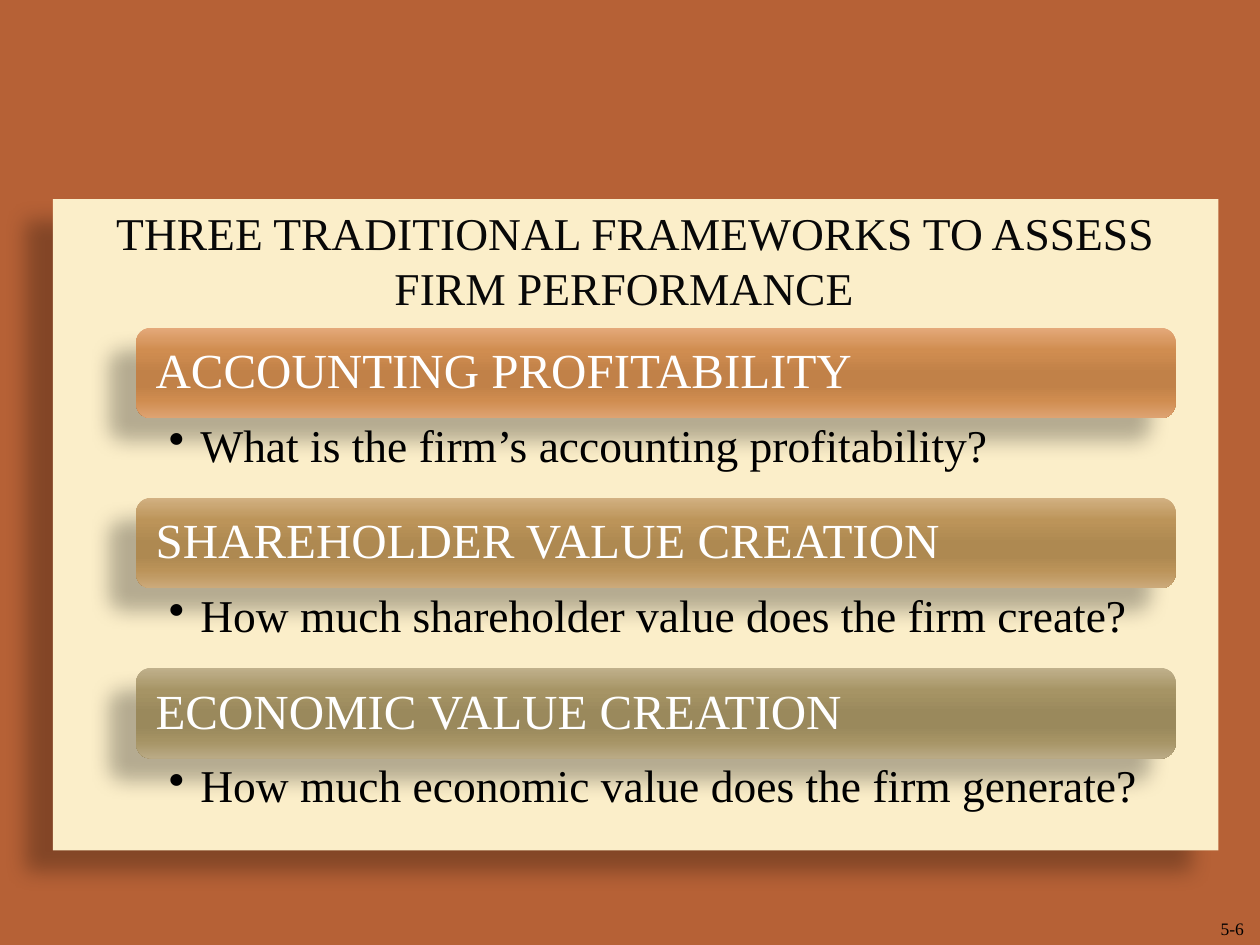
from lxml import etree
from pptx import Presentation
from pptx.dml.color import RGBColor
from pptx.enum import shapes, text
from pptx.oxml import parse_xml
from pptx.oxml.ns import nsdecls, qn
from pptx.util import Inches, Pt

FONT = "Times New Roman"
BAR_LEFT, BAR_TOP, BAR_WIDTH, BAR_HEIGHT = 1.08, 2.6, 8.25, 0.72
QUESTION_HEIGHT = 0.63
BAR_PITCH = BAR_HEIGHT + QUESTION_HEIGHT
TEXT_INSET = 0.035
STOP_POSITIONS = (0, 25, 50, 65, 80, 100)

FRAMEWORKS = [
    ("ACCOUNTING PROFITABILITY",
     "What is the firm’s accounting profitability?",
     ("E4A97A", "D08D50", "C18148", "C18148", "CF8C4F", "DEA372")),
    ("SHAREHOLDER VALUE CREATION",
     "How much shareholder value does the firm create?",
     ("D2B182", "BC9459", "AE8951", "AE8951", "BB9359", "CCAA7B")),
    ("ECONOMIC VALUE CREATION",
     "How much economic value does the firm generate?",
     ("C0B18C", "A69465", "9A895C", "9A895C", "A59364", "BAAA85")),
]


def color(value):
    return RGBColor.from_string(value)


def set_solid(fill, value):
    fill.solid()
    fill.fore_color.rgb = color(value)


def set_gradient(shape, colors):
    """Fill from top to bottom with one color per stop position."""
    shape.fill.gradient()
    shape.fill.gradient_angle = 270
    stops = shape._element.spPr.find(qn("a:gradFill")).find(qn("a:gsLst"))
    for stop in list(stops):
        stops.remove(stop)
    for position, value in zip(STOP_POSITIONS, colors):
        stop = etree.SubElement(stops, qn("a:gs"), pos=str(position * 1000))
        etree.SubElement(stop, qn("a:srgbClr"), val=value)


def add_shadow(shape):
    """Cast a soft shadow down and to the left."""
    shape.shadow.inherit = False
    effects = shape._element.spPr.find(qn("a:effectLst"))
    effects.append(parse_xml(
        f'<a:outerShdw {nsdecls("a")} blurRad="{Pt(11.8)}" dist="{Pt(19.7)}" '
        f'dir="{141 * 60000}" algn="tl" rotWithShape="0">'
        '<a:srgbClr val="000000"><a:alpha val="28000"/></a:srgbClr>'
        '</a:outerShdw>'))


def add_panel(page, kind, left, top, width, height):
    panel = page.shapes.add_shape(
        kind, Inches(left), Inches(top), Inches(width), Inches(height))
    panel.line.fill.background()
    add_shadow(panel)
    return panel


def add_text_box(page, left, top, width, height):
    return page.shapes.add_textbox(
        Inches(left), Inches(top), Inches(width), Inches(height))


def add_bullet(para):
    props = para._p.get_or_add_pPr()
    props.set("marL", str(Inches(0.25)))
    props.set("indent", str(Inches(-0.25)))
    etree.SubElement(props, qn("a:buChar"), char="•")


def write(box, words, size, value, align=text.PP_ALIGN.LEFT,
          anchor=text.MSO_ANCHOR.TOP, insets=(0.1, 0.05, 0.1, 0.05),
          line_spacing=None, space_before=0, bullet=False):
    """Set the text of a box; insets are left, top, right, bottom in inches."""
    frame = box.text_frame
    frame.word_wrap = True
    frame.vertical_anchor = anchor
    (frame.margin_left, frame.margin_top,
     frame.margin_right, frame.margin_bottom) = map(Inches, insets)
    para = frame.paragraphs[0]
    para.alignment = align
    para.line_spacing = line_spacing
    para.space_before = Pt(space_before)
    if bullet:
        para.level = 1
        add_bullet(para)
    span = para.add_run()
    span.text = words
    span.font.name = FONT
    span.font.size = Pt(size)
    span.font.color.rgb = color(value)


def add_framework(page, top, heading, question, colors):
    bar = add_panel(page, shapes.MSO_SHAPE.ROUNDED_RECTANGLE,
                    BAR_LEFT, top, BAR_WIDTH, BAR_HEIGHT)
    set_gradient(bar, colors)
    heading_box = add_text_box(
        page, BAR_LEFT + TEXT_INSET, top + TEXT_INSET,
        BAR_WIDTH - 2 * TEXT_INSET, BAR_HEIGHT - 2 * TEXT_INSET)
    write(heading_box, heading, 28, "FFFFFF", anchor=text.MSO_ANCHOR.MIDDLE,
          insets=(0.12,) * 4, line_spacing=0.9)
    question_box = add_text_box(
        page, BAR_LEFT, top + BAR_HEIGHT, BAR_WIDTH, QUESTION_HEIGHT)
    write(question_box, question, 26, "000000",
          insets=(0.26, 0.04, 0.2, 0.04), line_spacing=0.9, bullet=True)


def main():
    deck = Presentation()
    deck.slide_width, deck.slide_height = Inches(10), Inches(7.5)
    page = deck.slides.add_slide(deck.slide_layouts[6])
    set_solid(page.background.fill, "B66136")

    number_box = add_text_box(page, 7.33, 7.12, 2.64, 0.38)
    write(number_box, "5-6", 10, "000000", align=text.PP_ALIGN.RIGHT,
          anchor=text.MSO_ANCHOR.BOTTOM)

    card = add_panel(page, shapes.MSO_SHAPE.RECTANGLE, 0.42, 1.58, 9.25, 5.17)
    set_solid(card.fill, "FBEEC9")
    write(card, "THREE TRADITIONAL FRAMEWORKS TO ASSESS FIRM PERFORMANCE  ",
          26, "080808", align=text.PP_ALIGN.CENTER, space_before=5)

    for index, framework in enumerate(FRAMEWORKS):
        add_framework(page, BAR_TOP + index * BAR_PITCH, *framework)

    deck.save("out.pptx")


if __name__ == "__main__":
    main()
